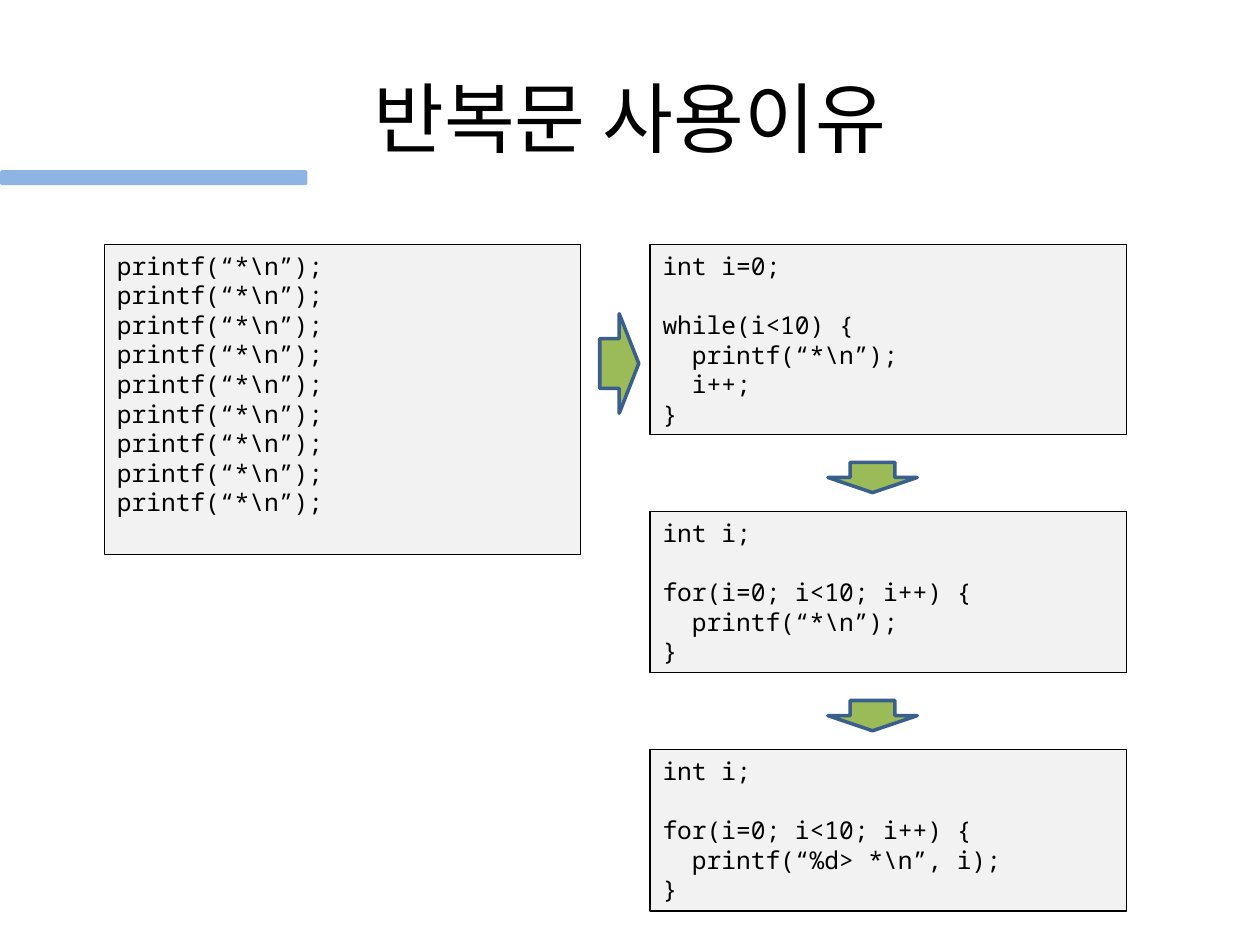
from dataclasses import dataclass

from pptx import Presentation
from pptx.dml.color import RGBColor
from pptx.enum.shapes import MSO_SHAPE
from pptx.enum.text import MSO_ANCHOR, PP_ALIGN
from pptx.util import Inches, Pt

RECT = MSO_SHAPE.RECTANGLE
ROUND = MSO_SHAPE.ROUNDED_RECTANGLE
RIGHT = MSO_SHAPE.RIGHT_ARROW
DOWN = MSO_SHAPE.DOWN_ARROW
TOP = MSO_ANCHOR.TOP
MIDDLE = MSO_ANCHOR.MIDDLE
LEFT = PP_ALIGN.LEFT
CENTER = PP_ALIGN.CENTER

WIDE, HIGH = Inches(10), Inches(7.5)
PITCH = Pt(16.9)
COLS = (8.3, 51.6)
COL = 37.8
ROW = 25.87
STEP = 25.2
CODE = {"name": "Noto Sans Mono", "size": Pt(14)}
HEAD = {"name": "Noto Sans CJK KR", "size": Pt(44)}

STAR = "printf(“*\\n”);"
WHILE = f"int i=0;\n\nwhile(i<10) {{\n  {STAR}\n  i++;\n}}"
FOR = "int i;\n\nfor(i=0; i<10; i++) {{\n  {}\n}}"


@dataclass
class Area:
    left: float
    top: float
    width: float
    height: float


@dataclass
class Block:
    area: Area
    code: str


@dataclass
class Arrow:
    area: Area
    kind: int


BLOCKS = [
    Block(Area(COLS[0], ROW, COL, 32.8), "\n".join([STAR] * 9)),
    Block(Area(COLS[1], ROW, COL, 20.13), WHILE),
]
ARROWS = [Arrow(Area(47.6, 33.2, 3.1, 10.53), RIGHT)]
for row, call in enumerate((STAR, "printf(“%d> *\\n”, i);")):
    shift = row * STEP
    BLOCKS.append(Block(Area(COLS[1], 54.13 + shift, COL, 17.07), FOR.format(call)))
    ARROWS.append(Arrow(Area(65.7, 48.93 + shift, 7.1, 3.2), DOWN))


def color(text: str) -> RGBColor:
    return RGBColor.from_string(text)


def style(font, values: dict) -> None:
    for name, value in values.items():
        setattr(font, name, value)
    font.color.rgb = color("000000")


def place(shape, area: Area) -> None:
    shape.left = round(WIDE * area.left / 100)
    shape.top = round(HIGH * area.top / 100)
    shape.width = round(WIDE * area.width / 100)
    shape.height = round(HIGH * area.height / 100)


def draw(slide, kind: int, area: Area, fill: str, line: str = "", weight: float = 0):
    shape = slide.shapes.add_shape(kind, 0, 0, 0, 0)
    place(shape, area)
    shape.shadow.inherit = False
    shape.fill.solid()
    shape.fill.fore_color.rgb = color(fill)
    if line:
        shape.line.color.rgb = color(line)
        shape.line.width = Pt(weight)
    else:
        shape.line.fill.background()
    return shape


def write(slide, block: Block) -> None:
    frame = draw(slide, RECT, block.area, "F2F2F2", "000000", 0.75).text_frame
    frame.word_wrap = True
    frame.vertical_anchor = TOP
    para, gap = frame.paragraphs[0], False
    for order, text in enumerate(block.code.split("\n")):
        if not text:
            gap = True
            continue
        if order:
            para = frame.add_paragraph()
        para.alignment = LEFT
        para.line_spacing = PITCH
        para.space_before = PITCH if gap else Pt(0)
        run = para.add_run()
        run.text = text
        style(run.font, CODE)
        gap = False


def name(slide, text: str) -> None:
    title = slide.shapes.title
    place(title, Area(5, 4, 90, 16.67))
    title.text_frame.vertical_anchor = MIDDLE
    para = title.text_frame.paragraphs[0]
    para.alignment = CENTER
    run = para.add_run()
    run.text = text
    style(run.font, HEAD)


def main() -> None:
    deck = Presentation()
    deck.slide_width, deck.slide_height = WIDE, HIGH
    slide = deck.slides.add_slide(deck.slide_layouts[5])
    name(slide, "반복문 사용이유")
    for block in BLOCKS:
        write(slide, block)
    for arrow in ARROWS:
        draw(slide, arrow.kind, arrow.area, "9BBB59", "3A5F8C", 2)
    draw(slide, ROUND, Area(0, 18, 24.4, 1.6), "8EB4E3")
    deck.save("out.pptx")


if __name__ == "__main__":
    main()
